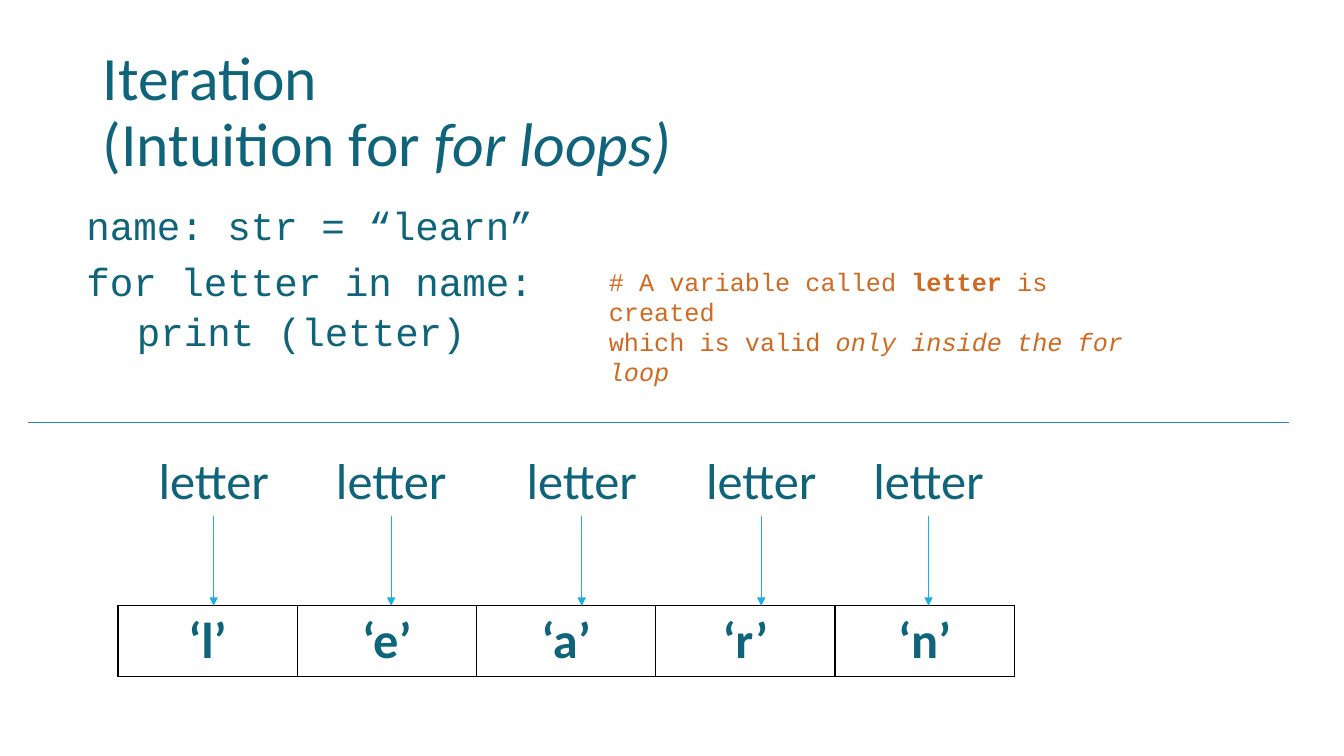
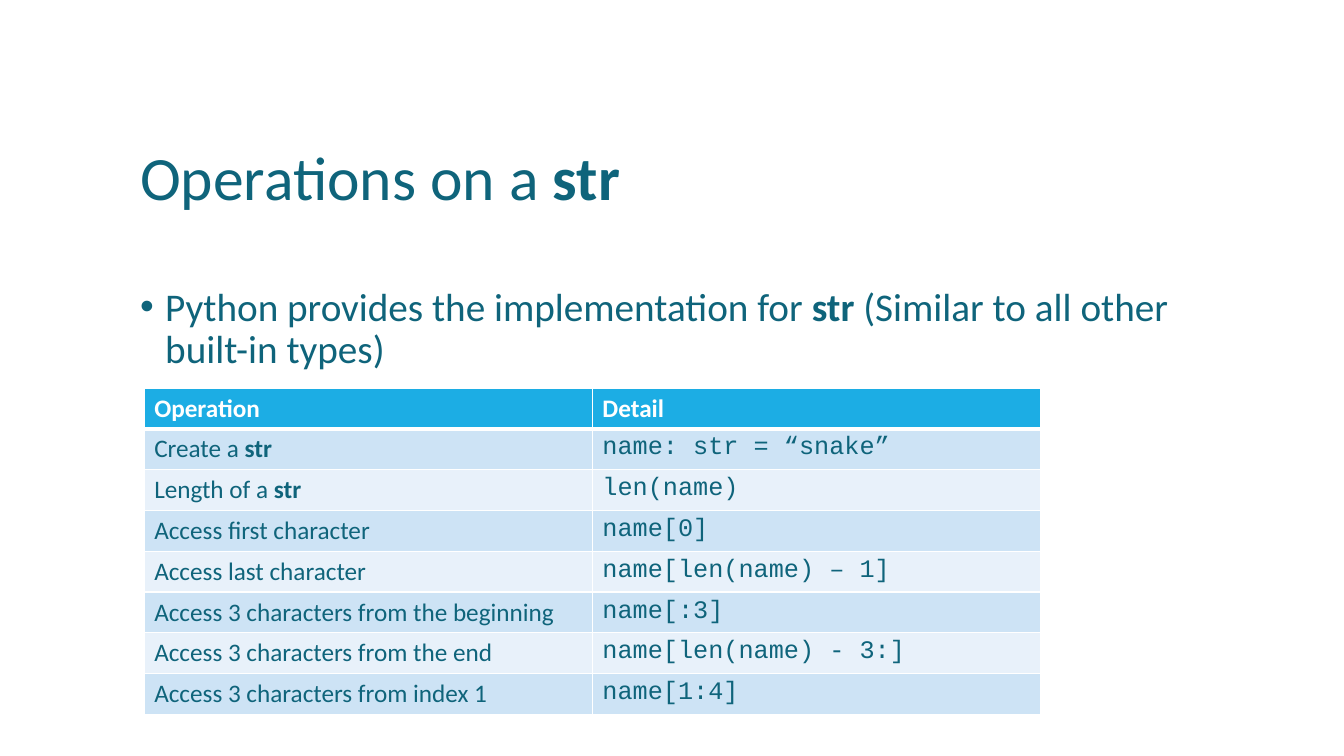
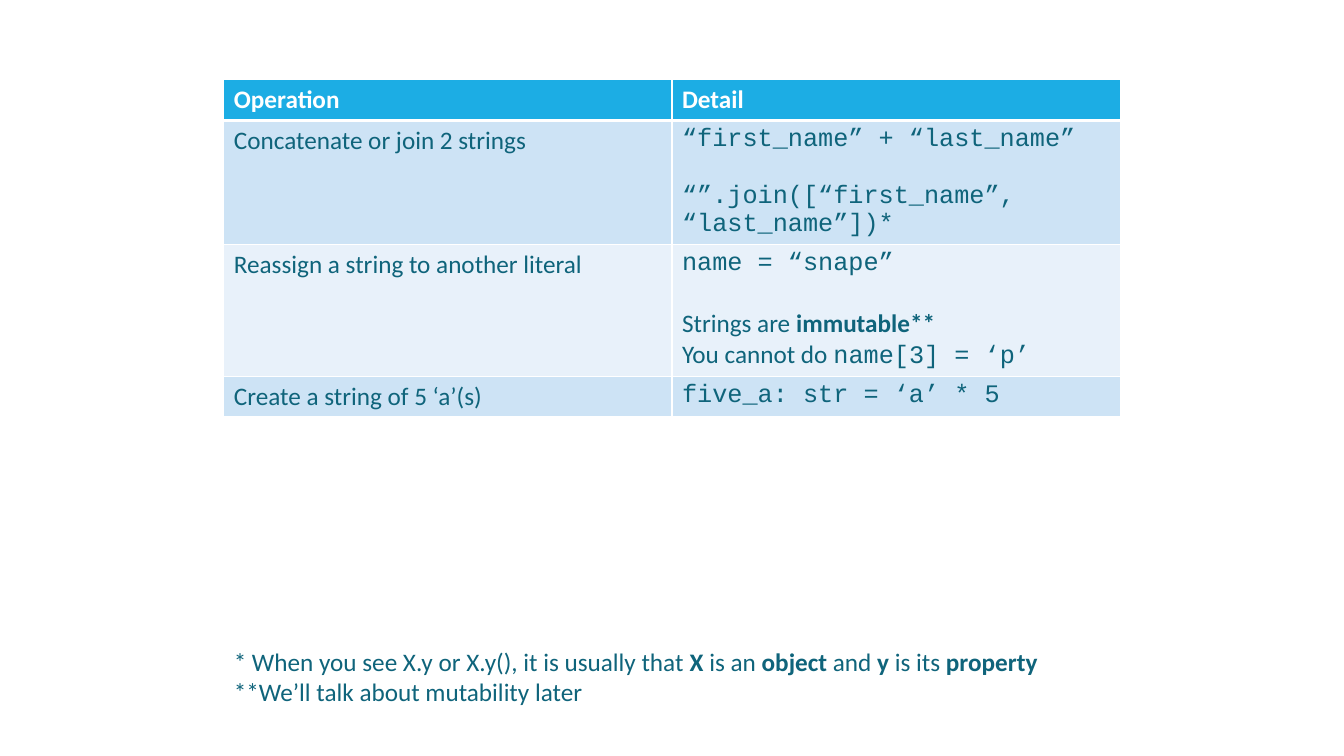
"""Build three slides on iteration and string operations."""
from lxml import etree
from pptx import Presentation
from pptx.dml.color import RGBColor
from pptx.enum.shapes import MSO_CONNECTOR
from pptx.enum.text import MSO_ANCHOR, MSO_AUTO_SIZE, PP_ALIGN
from pptx.oxml.ns import qn
from pptx.util import Inches, Pt

STRAIGHT = MSO_CONNECTOR.STRAIGHT
MIDDLE, TOP = MSO_ANCHOR.MIDDLE, MSO_ANCHOR.TOP
LEFT, CENTER = PP_ALIGN.LEFT, PP_ALIGN.CENTER
NO_AUTOFIT = MSO_AUTO_SIZE.NONE
TITLE_ONLY, BLANK = 5, 6

COLORS = {
    "text": "0F647B", "comment": "D06A22", "accent": "1CADE4",
    "divider": "2683C6", "band": "CDE3F5", "light_band": "E8F1FA",
    "white": "FFFFFF", "black": "000000",
}
BODY_FONT, CODE_FONT = "Calibri", "Courier New"


def rgb(name):
    """Return the named colour."""
    return RGBColor.from_string(COLORS[name])


def code(text):
    """Return a run in the code font."""
    return text, "c"


def bold(text):
    """Return a bold run."""
    return text, "b"


def italic(text):
    """Return an italic run."""
    return text, "i"


class Deck:
    """Hold the shared style and the current slide."""

    def __init__(self):
        """Open an empty widescreen presentation."""
        self.prs = Presentation()
        self.prs.slide_width, self.prs.slide_height = Inches(13.33), Inches(7.5)
        self.slide = None

    def add_slide(self, layout):
        """Start a new slide."""
        self.slide = self.prs.slides.add_slide(self.prs.slide_layouts[layout])

    def fill_text(self, frame, paragraphs, size=18, color="text", align=LEFT, spacing=None):
        """Fill a frame with paragraphs, each a list of plain or flagged runs."""
        for index, runs in enumerate(paragraphs):
            paragraph = frame.add_paragraph() if index else frame.paragraphs[0]
            paragraph.alignment = align
            paragraph.line_spacing = spacing
            for item in runs:
                text, flags = (item, "") if isinstance(item, str) else item
                if text == "\n":
                    paragraph.add_line_break()
                    continue
                run = paragraph.add_run()
                run.text = text
                run.font.name = CODE_FONT if "c" in flags else BODY_FONT
                run.font.size = Pt(size)
                run.font.bold = "b" in flags
                run.font.italic = "i" in flags
                run.font.color.rgb = rgb(color)

    def title(self, left, top, width, height, runs):
        """Fill and place the title placeholder."""
        title = self.slide.shapes.title
        title.left, title.top = Inches(left), Inches(top)
        title.width, title.height = Inches(width), Inches(height)
        title.text_frame.vertical_anchor = MIDDLE
        title.text_frame.auto_size = NO_AUTOFIT
        self.fill_text(title.text_frame, [runs], size=44, spacing=0.9)

    def text(self, left, top, width, height, paragraphs, **style):
        """Add a wrapping text box and return its paragraphs."""
        box = self.slide.shapes.add_textbox(
            Inches(left), Inches(top), Inches(width), Inches(height))
        box.text_frame.word_wrap = True
        self.fill_text(box.text_frame, paragraphs, **style)
        return box.text_frame.paragraphs

    def indent(self, paragraph, margin, first=0, bullet=None):
        """Indent a paragraph and give it an optional bullet."""
        props = paragraph._p.get_or_add_pPr()
        props.set("marL", str(Inches(margin)))
        props.set("indent", str(Inches(first)))
        if bullet:
            font = etree.SubElement(props, qn("a:buFont"))
            font.set("typeface", "Arial")
            etree.SubElement(props, qn("a:buChar")).set("char", bullet)

    def line(self, start, end, color, width, arrow=False):
        """Add a straight line, with an arrowhead at its end if asked."""
        line = self.slide.shapes.add_connector(
            STRAIGHT, *(Inches(value) for value in start + end))
        line.line.color.rgb = rgb(color)
        line.line.width = Pt(width)
        if arrow:
            tail = etree.SubElement(line.line._get_or_add_ln(), qn("a:tailEnd"))
            tail.set("type", "triangle")
        etree.SubElement(line._element.spPr, qn("a:effectLst"))

    def borders(self, cell, color, bottom=1):
        """Draw the four borders of a cell."""
        props = cell._tc.get_or_add_tcPr()
        for side, width in (("L", 1), ("R", 1), ("T", 1), ("B", bottom)):
            edge = etree.SubElement(props, qn(f"a:ln{side}"))
            edge.set("w", str(Pt(width)))
            fill = etree.SubElement(edge, qn("a:solidFill"))
            etree.SubElement(fill, qn("a:srgbClr")).set("val", COLORS[color])

    def grid(self, left, top, width, height, rows, columns):
        """Add a table with equal rows and columns."""
        table = self.slide.shapes.add_table(
            rows, columns, Inches(left), Inches(top),
            Inches(width), Inches(height)).table
        table.first_row = table.horz_banding = False
        return table

    def letter_row(self, left, top, width, height, letters):
        """Add a black-ruled row of bold letters."""
        table = self.grid(left, top, width, height, 1, len(letters))
        for cell, letter in zip(table.rows[0].cells, letters):
            self.borders(cell, "black")
            cell.fill.background()
            self.fill_text(cell.text_frame, [[bold(letter)]], size=36, align=CENTER)

    def operations(self, left, top, rows):
        """Add a banded table of operations and details."""
        header = ([[bold("Operation")]], [[bold("Detail")]])
        count = len(rows) + 1
        table = self.grid(left, top, 8.89, 3.24 / 8 * count, count, 2)
        table.first_row = True
        for index, contents in enumerate([header, *rows]):
            band = "band" if index % 2 else "light_band"
            for cell, paragraphs in zip(table.rows[index].cells, contents):
                self.borders(cell, "white", 1 if index else 3)
                cell.fill.solid()
                cell.fill.fore_color.rgb = rgb(band if index else "accent")
                cell.vertical_anchor = TOP
                self.fill_text(cell.text_frame, paragraphs,
                               color="text" if index else "white")
        return table


def iteration(deck):
    """Build the slide on for loops."""
    deck.add_slide(TITLE_ONLY)
    deck.title(0.92, 0.4, 11.5, 1.45,
               ["Iteration ", "\n", "(Intuition for ", italic("for loops)")])
    lines = ["name: str = “learn”", "for letter in name:", "print (letter)"]
    listing = deck.text(0.76, 2, 12.44, 2.19, [[code(line)] for line in lines],
                        size=28, spacing=0.9)
    for paragraph, gap in zip(listing, (10, 10, 5)):
        paragraph.space_before = Pt(gap)
    deck.indent(listing[-1], 0.5)
    deck.letter_row(1.17, 6.01, 8.89, 0.7, ["‘l’", "‘e’", "‘a’", "‘r’", "‘n’"])
    for center in (2.12, 3.88, 5.77, 7.55, 9.21):
        deck.text(center - 0.66, 4.41, 1.32, 0.71, [["letter"]], size=36, align=CENTER)
        deck.line((center, 5.12), (center, 6.01), "accent", 0.5, arrow=True)
    deck.line((0.28, 4.19), (12.78, 4.19), "divider", 1)
    deck.text(5.94, 2.59, 5.6, 0.71, [
        [code("# A variable called "), ("letter ", "cb"), code("is created")],
        [code("which is valid "), ("only inside the for loop", "ci")],
    ], color="comment")


def basic_operations(deck):
    """Build the slide on basic string operations."""
    deck.add_slide(TITLE_ONLY)
    deck.title(1.29, 0.96, 10.71, 1.67, ["Operations on a ", bold("str")])
    intro = deck.text(1.29, 2.8, 10.71, 3.73, [[
        "Python provides the implementation for ", bold("str "),
        "(Similar to all other built-in types)"]], size=28, spacing=0.9)[0]
    intro.space_before = Pt(10)
    deck.indent(intro, 0.25, -0.25, "•")
    examples = [
        (["Create a ", bold("str")], "name: str = “snake”"),
        (["Length of a ", bold("str")], "len(name)"),
        (["Access first character"], "name[0]"),
        (["Access last character"], "name[len(name) – 1]"),
        (["Access 3 characters from the beginning"], "name[:3]"),
        (["Access 3 characters from the end"], "name[len(name) - 3:]"),
        (["Access 3 characters from index 1"], "name[1:4]"),
    ]
    deck.operations(1.43, 3.85, [([name], [[code(detail)]]) for name, detail in examples])


def more_operations(deck):
    """Build the slide on joining and reassigning strings."""
    deck.add_slide(BLANK)
    table = deck.operations(2.22, 0.79, [
        ([["Concatenate or join 2 strings"]],
         [[code("“first_name” + “last_name”")],
          [code("“”.join([“first_name”, “last_name”])*")]]),
        ([["Reassign a string to another literal"]],
         [[code("name = “snape”")],
          ["Strings are ", bold("immutable**")],
          ["You cannot do ", code("name[3] = ‘p’")]]),
        ([["Create a string of 5 ‘a’(s)"]], [[code("five_a: str = ‘a’ * 5")]]),
    ])
    for row, gap in ((1, 20), (2, 22)):
        table.cell(row, 1).text_frame.paragraphs[1].space_before = Pt(gap)
    deck.text(2.22, 6.36, 9.55, 0.71, [
        ["* When you see X.y or X.y(), it is usually that ", bold("X"), " is an ",
         bold("object"), " and ", bold("y"), " is its ", bold("property")],
        ["**We’ll talk about mutability later"],
    ])


def main():
    """Build and save the presentation."""
    deck = Deck()
    iteration(deck)
    basic_operations(deck)
    more_operations(deck)
    deck.prs.save("out.pptx")


if __name__ == "__main__":
    main()
